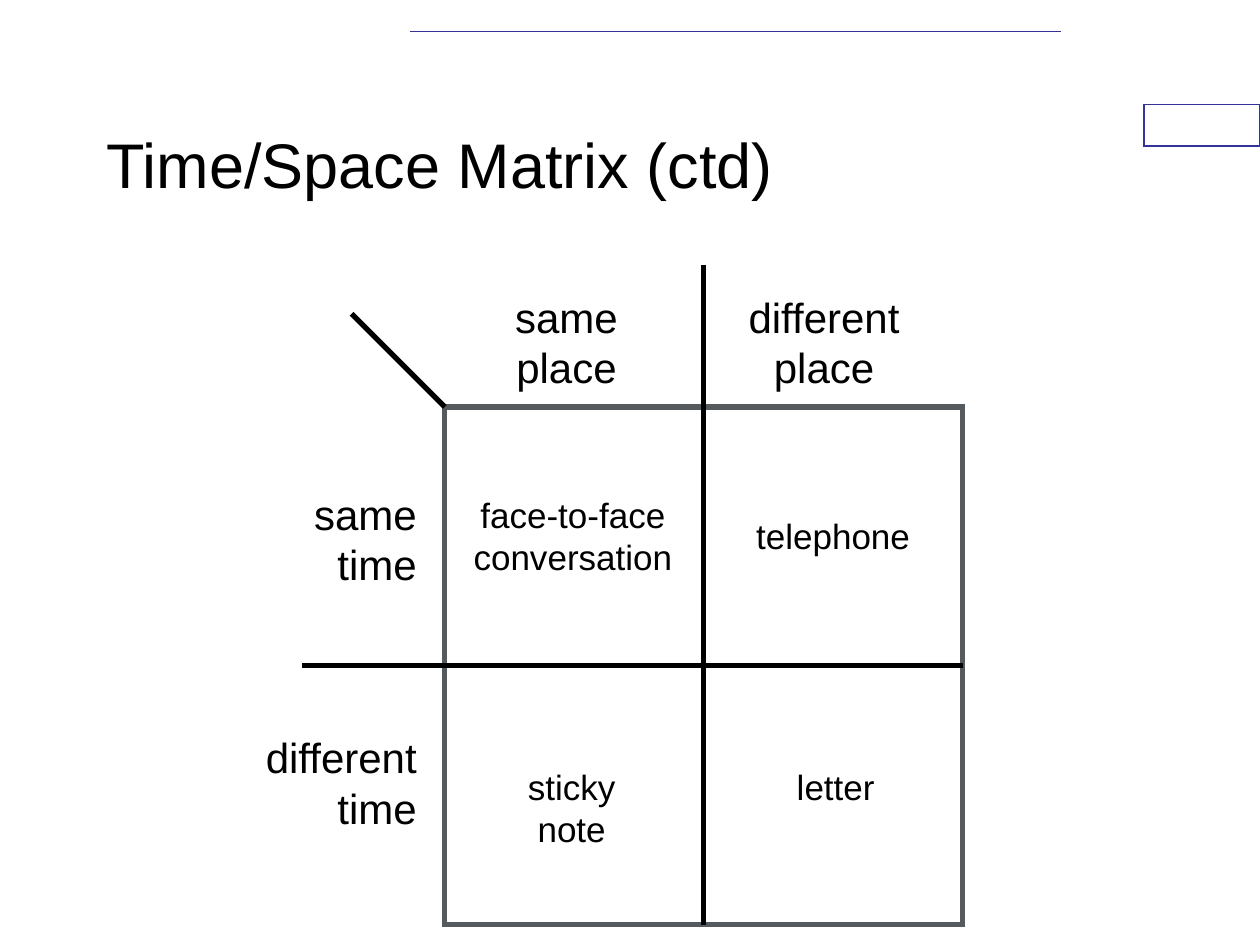
from pptx import Presentation
from pptx.dml.color import RGBColor as Rgb
from pptx.enum.shapes import MSO_CONNECTOR as Conn, MSO_SHAPE as Geo
from pptx.enum.text import MSO_ANCHOR as Anchor, MSO_AUTO_SIZE as Auto, PP_ALIGN as Align
from pptx.oxml.ns import qn
from pptx.util import Inches, Pt

# Matrix of two by two square cells: left, top and cell side in inches
LEFT, TOP, CELL = 3.53, 3.23, 4.11 / 2


def color(code):
    return Rgb.from_string(code)


def spot(col, row):
    """Turn a matrix column and row into inches."""
    return LEFT + col * CELL, TOP + row * CELL


def put_text(shape, text, size=20, align=Align.CENTER, anchor=Anchor.TOP,
             wrap=False, font="Arial", ink="000000"):
    frame = shape.text_frame
    frame.word_wrap = wrap
    frame.auto_size = Auto.NONE if wrap else Auto.SHAPE_TO_FIT_TEXT
    frame.vertical_anchor = anchor
    para = frame.paragraphs[0]
    para.text = text
    para.alignment = align
    for run in para.runs:
        run.font.size = Pt(size)
        run.font.name = font
        run.font.color.rgb = color(ink)


class Deck:
    ink, edge, trim, paper = "000000", "555A5E", "333399", "FFFFFF"

    def __init__(self):
        self.show = Presentation()
        self.show.slide_width, self.show.slide_height = Inches(10), Inches(7.5)
        self.slide = self.show.slides.add_slide(self.show.slide_layouts[6])

    def rect(self, x, y, wide, high, tone, weight):
        box = self.slide.shapes.add_shape(
            Geo.RECTANGLE, *map(Inches, (x, y, wide, high)))
        box.shadow.inherit = False
        box.fill.solid()
        box.fill.fore_color.rgb = color(self.paper)
        box.line.color.rgb = color(tone)
        box.line.width = Pt(weight)
        # Square corners
        pen = box._element.spPr.find(qn("a:ln"))
        pen.append(pen.makeelement(qn("a:miter"), {"lim": "800000"}))

    def line(self, start, end, tone=ink, weight=3):
        rule = self.slide.shapes.add_connector(
            Conn.STRAIGHT, *map(Inches, (*start, *end)))
        rule.line.color.rgb = color(tone)
        rule.line.width = Pt(weight)
        props = rule._element.spPr
        props.append(props.makeelement(qn("a:effectLst"), {}))

    def text(self, x, y, wide, high, words, **style):
        box = self.slide.shapes.add_textbox(*map(Inches, (x, y, wide, high)))
        put_text(box, words, **style)

    def label(self, col, row, span, words, size=20, **style):
        """Place text on the matrix grid, as high as its lines need."""
        high = 0.1 + (words.count("\n") + 1) * size / 60
        self.text(*spot(col, row), span * CELL, high, words, size=size, **style)


def main():
    deck = Deck()

    # Page trim
    deck.rect(9.08, 0.83, 0.92, 0.33, deck.trim, 0.75)
    deck.line((3.25, 0.25), (8.42, 0.25), deck.trim, 1)

    # Matrix frame and axes
    deck.rect(LEFT, TOP, 2 * CELL, 2 * CELL, deck.edge, 3)
    deck.line(spot(-0.55, 1), spot(2, 1))
    deck.line(spot(1, -0.55), spot(1, 2))
    deck.line(spot(0, 0), spot(-0.36, -0.36))

    # Title
    deck.text(0.75, 0.67, 7.5, 1.25, "Time/Space Matrix (ctd)", size=36,
              align=Align.LEFT, anchor=Anchor.MIDDLE, wrap=True)

    # Column heads
    for col, span, words in ((0.22, 0.5, "same\nplace"),
                             (1.12, 0.69, "different\nplace")):
        deck.label(col, -0.47, span, words, size=24)

    # Row heads, flush with the matrix
    for row, span, words in ((0.29, 0.5, "same\ntime"),
                             (1.23, 0.69, "different\ntime")):
        deck.label(-0.06 - span, row, span, words, size=24, align=Align.RIGHT)

    # Cells
    for col, row, span, words in (
            (0.06, 0.31, 0.87, "face-to-face\nconversation"),
            (1.1, 0.39, 0.8, "telephone"),
            (0.11, 1.36, 0.76, "sticky\nnote"),
            (1.26, 1.36, 0.5, "letter")):
        deck.label(col, row, span, words)

    deck.show.save("out.pptx")


if __name__ == "__main__":
    main()
